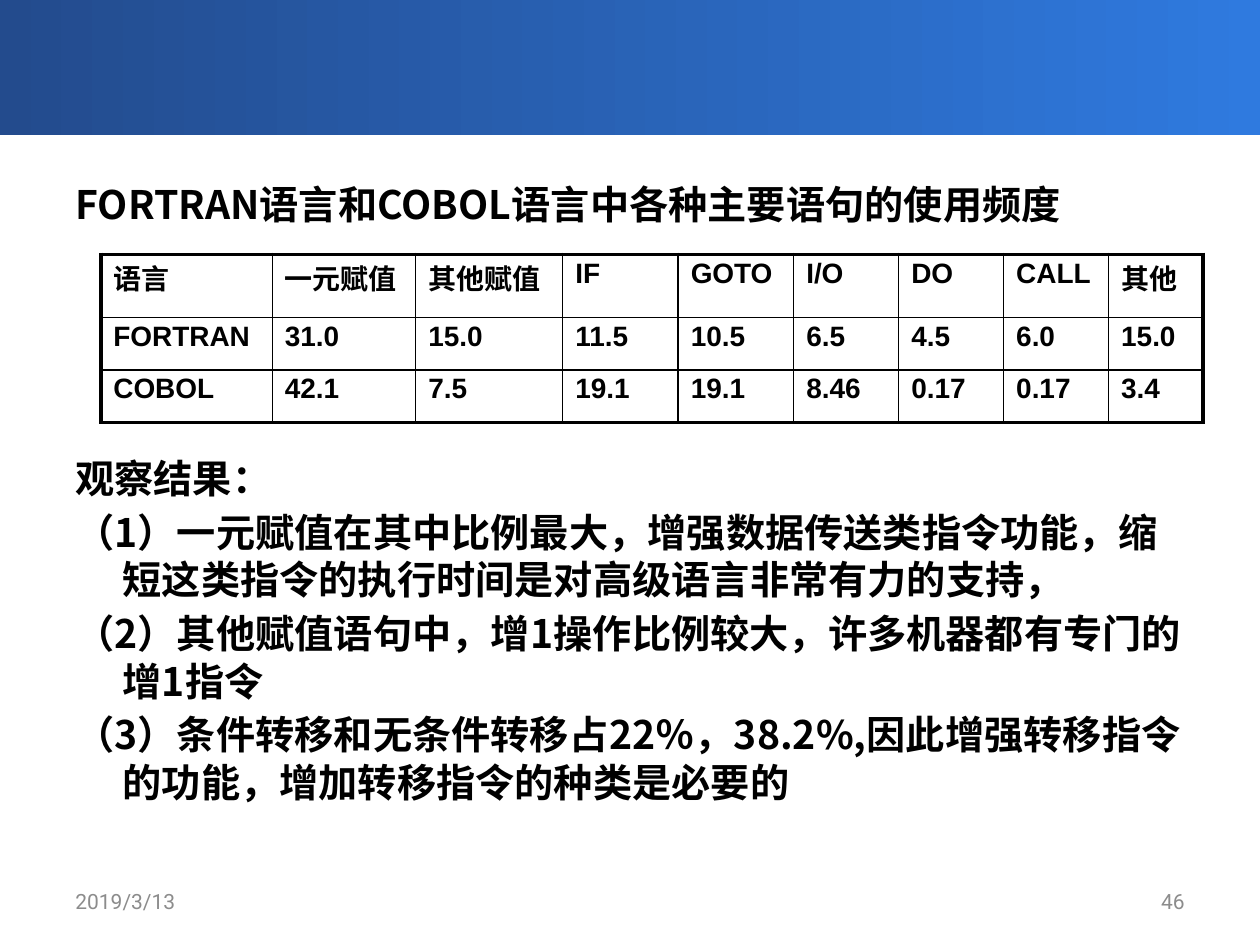
from dataclasses import dataclass

from lxml.etree import SubElement
from pptx import Presentation
from pptx.dml.color import RGBColor
from pptx.enum.shapes import MSO_SHAPE
from pptx.enum.text import MSO_ANCHOR, PP_ALIGN
from pptx.oxml.ns import qn
from pptx.util import Pt

BLACK, GREY = "000000", "8C8C8C"
BODY_FONT, TABLE_FONT, FOOTER_FONT = "Noto Sans CJK SC", "Arial", "Roboto"


@dataclass
class Area:
    left: float
    top: float
    width: float
    height: float

    def lengths(self) -> tuple:
        return Pt(self.left), Pt(self.top), Pt(self.width), Pt(self.height)


@dataclass
class Style:
    font: str
    size: float
    color: str
    bold: bool = False


@dataclass
class Line:
    text: str
    space_before: float = 3.6


@dataclass
class Footer:
    text: str
    left: float
    align: PP_ALIGN


BODY_STYLE = Style(BODY_FONT, 22.4, BLACK, True)
TABLE_STYLE = Style(TABLE_FONT, 16, BLACK, True)
FOOTER_STYLE = Style(FOOTER_FONT, 12, GREY)

BODY_LINES = [
    Line("FORTRAN语言和COBOL语言中各种主要语句的使用频度"),
    Line("观察结果：", 129.5),  # leaves room for the table
    Line("（1）一元赋值在其中比例最大，增强数据传送类指令功能，缩短这类指令的执行时间是对高级语言非常有力的支持，"),
    Line("（2）其他赋值语句中，增1操作比例较大，许多机器都有专门的增1指令"),
    Line("（3）条件转移和无条件转移占22％，38.2%,因此增强转移指令的功能，增加转移指令的种类是必要的"),
]
FREQUENCIES = [
    ["语言", "一元赋值", "其他赋值", "IF", "GOTO", "I/O", "DO", "CALL", "其他"],
    ["FORTRAN", "31.0", "15.0", "11.5", "10.5", "6.5", "4.5", "6.0", "15.0"],
    ["COBOL", "42.1", "7.5", "19.1", "19.1", "8.46", "0.17", "0.17", "3.4"],
]
COLUMN_WIDTHS = [98, 82, 84, 66, 66, 60, 60, 60, 54]
ROW_HEIGHTS = [36, 30, 30]
FOOTERS = [
    Footer("2019/3/13", 36, PP_ALIGN.LEFT),
    Footer("46", 516, PP_ALIGN.RIGHT),
]


def paint(color_format, color: str) -> None:
    color_format.rgb = RGBColor.from_string(color)


def add_span(para, text: str, style: Style) -> None:
    span = para.add_run()
    span.text = text
    span.font.name = style.font
    span.font.size = Pt(style.size)
    span.font.bold = style.bold
    paint(span.font.color, style.color)
    east_asian = BODY_FONT if style.font == TABLE_FONT else style.font
    SubElement(span.font._element, qn("a:ea"), typeface=east_asian)


def add_box(page, area: Area):
    box = page.shapes.add_textbox(*area.lengths())
    box.text_frame.word_wrap = True
    return box.text_frame


def add_banner(page, area: Area, colors: tuple[str, str]) -> None:
    banner = page.shapes.add_shape(MSO_SHAPE.RECTANGLE, *area.lengths())
    banner.shadow.inherit = False
    banner.line.fill.background()
    banner.fill.gradient()
    banner.fill.gradient_angle = 0
    for stop, color in zip(banner.fill.gradient_stops, colors):
        paint(stop.color, color)


def add_body(page, area: Area, lines: list[Line]) -> None:
    frame = add_box(page, area)
    for index, line in enumerate(lines):
        para = frame.add_paragraph() if index else frame.paragraphs[0]
        para.line_spacing = Pt(27.1)
        para.space_before = Pt(line.space_before)
        properties = para._p.get_or_add_pPr()
        properties.set("marL", str(Pt(27)))
        properties.set("indent", str(Pt(-27)))
        add_span(para, line.text, BODY_STYLE)


def add_border(cell, side: str, width: float) -> None:
    border = SubElement(cell._tc.get_or_add_tcPr(), qn(f"a:{side}"), w=str(Pt(width)))
    fill = SubElement(border, qn("a:solidFill"))
    SubElement(fill, qn("a:srgbClr"), val=BLACK)


def add_frequency_table(page, left: float, top: float) -> None:
    area = Area(left, top, sum(COLUMN_WIDTHS), sum(ROW_HEIGHTS))
    last_row, last_column = len(ROW_HEIGHTS) - 1, len(COLUMN_WIDTHS) - 1
    table = page.shapes.add_table(last_row + 1, last_column + 1, *area.lengths()).table
    for column, width in zip(table.columns, COLUMN_WIDTHS):
        column.width = Pt(width)
    for row, height in zip(table.rows, ROW_HEIGHTS):
        row.height = Pt(height)
    for i, texts in enumerate(FREQUENCIES):
        for j, text in enumerate(texts):
            cell = table.cell(i, j)
            para = cell.text_frame.paragraphs[0]
            para.line_spacing = 0.9
            para.space_before = Pt(4.8)
            add_span(para, text, TABLE_STYLE)
            # Thick outer frame, thin inner grid; borders precede the fill
            outer = {"lnL": j == 0, "lnR": j == last_column,
                     "lnT": i == 0, "lnB": i == last_row}
            for side, is_outer in outer.items():
                add_border(cell, side, 2.25 if is_outer else 1)
            cell.fill.background()


def add_footer(page, footer: Footer) -> None:
    frame = add_box(page, Area(footer.left, 500.4, 168, 28.8))
    frame.vertical_anchor = MSO_ANCHOR.MIDDLE
    para = frame.paragraphs[0]
    para.alignment = footer.align
    add_span(para, footer.text, FOOTER_STYLE)


def main() -> None:
    deck = Presentation()
    deck.slide_width, deck.slide_height = Pt(720), Pt(540)
    page = deck.slides.add_slide(deck.slide_layouts[6])

    # Header band
    add_banner(page, Area(0, 0, 720, 77), ("234B8D", "2F7ADF"))
    # Heading and findings
    add_body(page, Area(36, 99.4, 648, 397.4), BODY_LINES)
    # Date and page number
    for footer in FOOTERS:
        add_footer(page, footer)
    # Statement frequencies
    add_frequency_table(page, 57.6, 145.4)

    deck.save("out.pptx")


if __name__ == "__main__":
    main()
